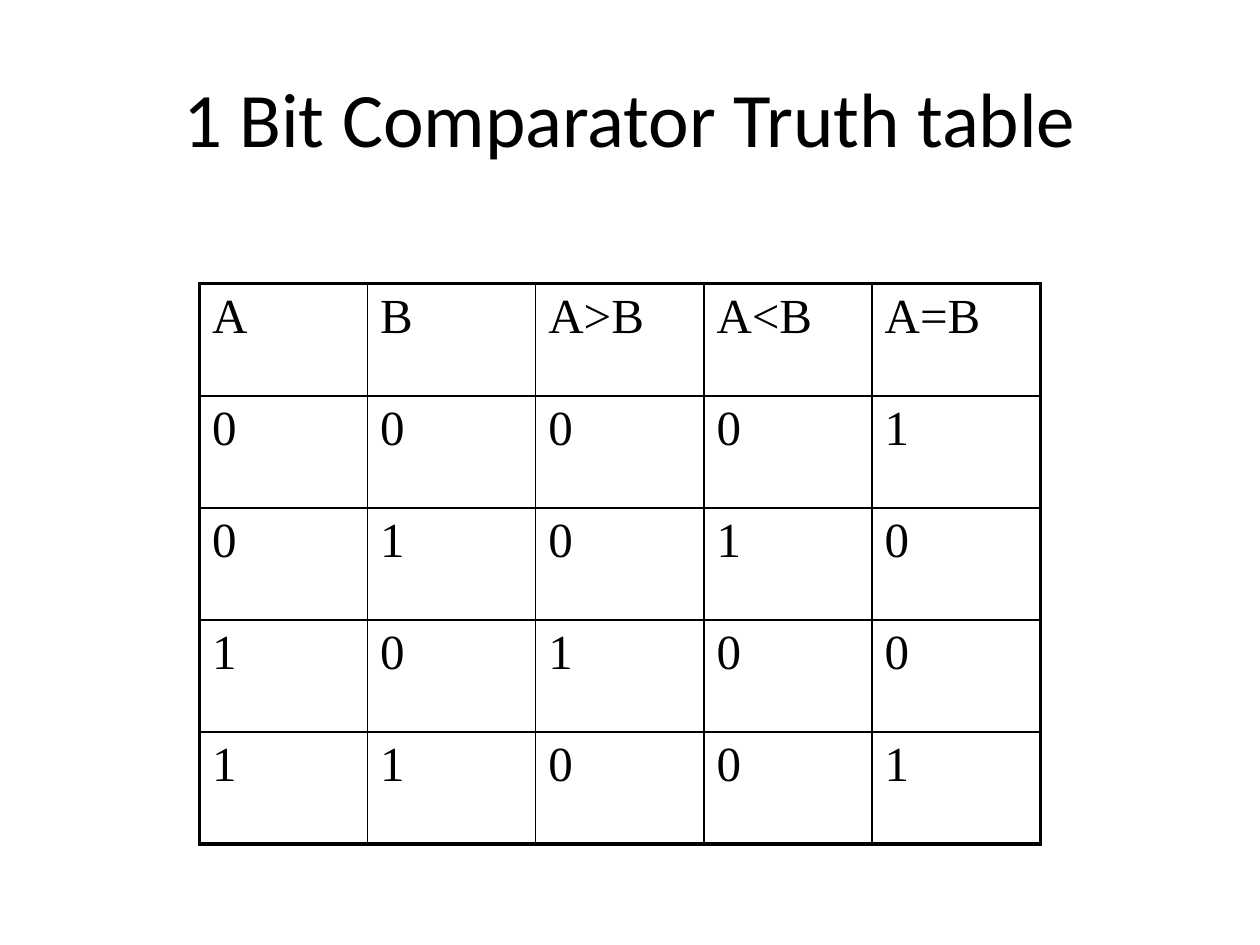
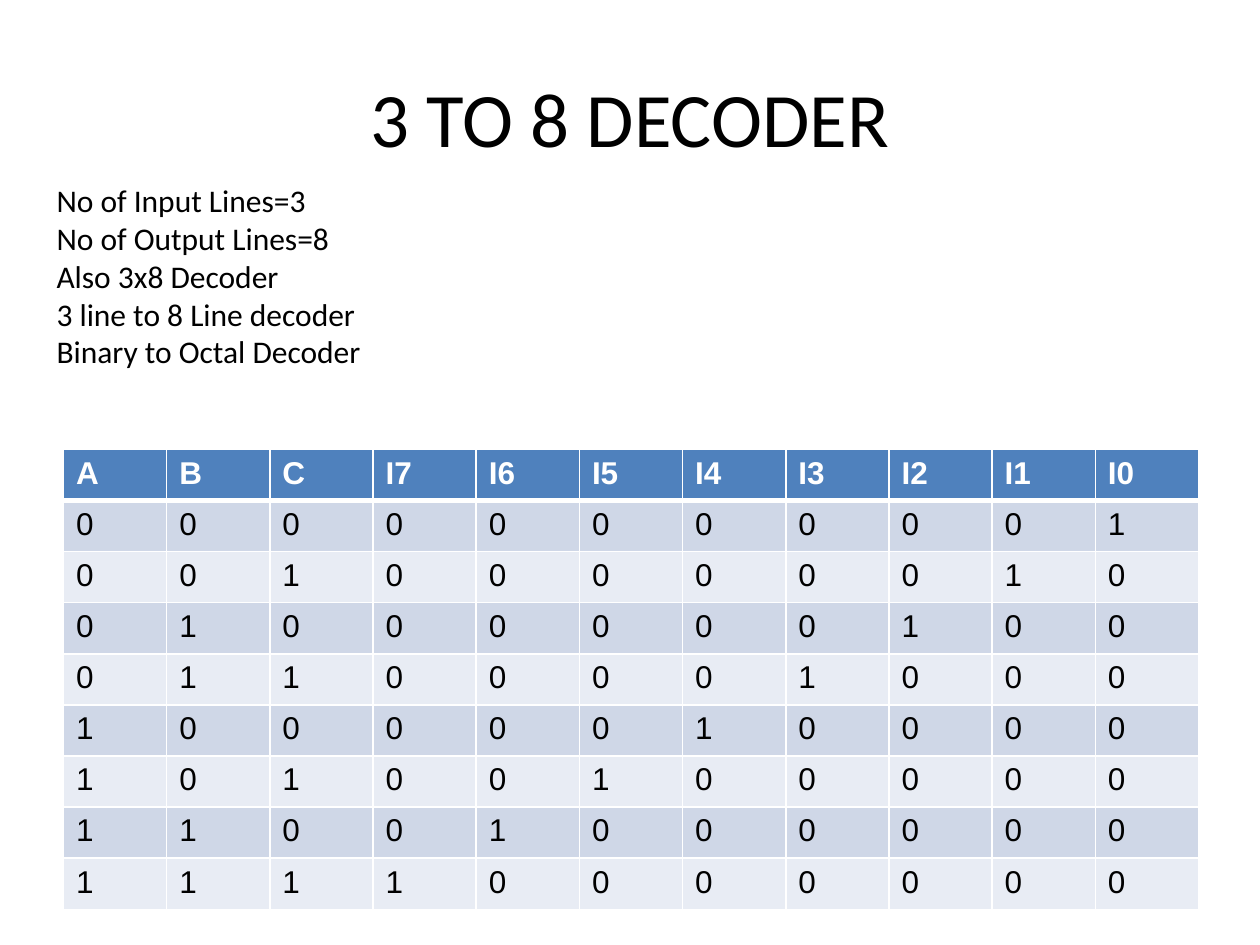
from dataclasses import dataclass
from itertools import product

from lxml.etree import SubElement
from pptx import Presentation
from pptx.dml.color import RGBColor
from pptx.enum.text import MSO_ANCHOR, PP_ALIGN
from pptx.oxml.ns import qn
from pptx.slide import Slide
from pptx.table import _Cell
from pptx.util import Cm, Pt

COLORS = {
    "ink": "000000",
    "white": "FFFFFF",
    "header": "4F81BD",
    "odd_row": "CFD7E7",
    "even_row": "E8ECF4",
}


@dataclass(frozen=True)
class TextStyle:
    font: str
    size: float
    color: str = "ink"
    bold: bool = False
    align: PP_ALIGN = PP_ALIGN.LEFT


@dataclass(frozen=True)
class Box:
    left: float
    top: float
    width: float
    height: float


@dataclass(frozen=True)
class GridStyle:
    """Look of a truth table; fills are colour names, line widths are points."""
    header_text: TextStyle
    body_text: TextStyle
    line_color: str
    inner_line: float
    outer_line: float
    header_line: float
    header_fill: str | None = None
    row_fills: tuple[str | None, ...] = (None,)


@dataclass(frozen=True)
class TruthTable:
    left: float
    top: float
    column_width: float
    row_height: float
    header: list[str]
    rows: list[list[int]]
    style: GridStyle


TITLE_BOX = Box(1.27, 0.76, 22.86, 3.18)
TITLE = TextStyle("Calibri", 44, align=PP_ALIGN.CENTER)
NOTES_BOX = Box(0.89, 3.53, 22.81, 4.11)
FACTS = TextStyle("Calibri", 18)
SERIF = TextStyle("Times New Roman", 28)
SANS = TextStyle("Arial", 18)
SANS_HEADER = TextStyle("Arial", 18, "white", bold=True)

RULED = GridStyle(SERIF, SERIF, "ink", inner_line=1, outer_line=2.25, header_line=1)
BANDED = GridStyle(SANS_HEADER, SANS, "white", inner_line=1, outer_line=1,
                   header_line=3, header_fill="header",
                   row_fills=("odd_row", "even_row"))

COMPARATOR = TruthTable(
    4.02, 5.72, 3.39, 2.26,
    ["A", "B", "A>B", "A<B", "A=B"],
    [[a, b, int(a > b), int(a < b), int(a == b)]
     for a, b in product((0, 1), repeat=2)],
    RULED,
)
LINES = range(7, -1, -1)
DECODER = TruthTable(
    1.28, 9.06, 2.08, 1.03,
    ["A", "B", "C", *(f"I{line}" for line in LINES)],
    [[*bits, *(int(line == number) for line in LINES)]
     for number, bits in enumerate(product((0, 1), repeat=3))],
    BANDED,
)
DECODER_FACTS = [
    "No of Input Lines=3",
    "No of Output Lines=8",
    "Also 3x8 Decoder",
    "3 line to 8 Line decoder",
    "Binary to Octal Decoder",
]


def write(frame, lines: list[str], style: TextStyle) -> None:
    frame.text = "\n".join(lines)
    for paragraph in frame.paragraphs:
        paragraph.alignment = style.align
        font = paragraph.font
        font.name, font.size, font.bold = style.font, Pt(style.size), style.bold
        font.color.rgb = RGBColor.from_string(COLORS[style.color])


def add_text(slide: Slide, box: Box, lines: list[str], style: TextStyle,
             anchor: MSO_ANCHOR = MSO_ANCHOR.TOP) -> None:
    frame = slide.shapes.add_textbox(
        Cm(box.left), Cm(box.top), Cm(box.width), Cm(box.height)).text_frame
    frame.word_wrap = True
    frame.vertical_anchor = anchor
    write(frame, lines, style)


def set_borders(cell: _Cell, color: str, widths: dict[str, float]) -> None:
    """Draw the cell's sides; widths must run in the order L, R, T, B."""
    properties = cell._tc.get_or_add_tcPr()
    for side, width in widths.items():
        line = SubElement(properties, qn(f"a:ln{side}"), w=str(Pt(width)))
        fill = SubElement(line, qn("a:solidFill"))
        SubElement(fill, qn("a:srgbClr"), val=COLORS[color])


def set_fill(cell: _Cell, color: str | None) -> None:
    if color is None:
        cell.fill.background()
    else:
        cell.fill.solid()
        cell.fill.fore_color.rgb = RGBColor.from_string(COLORS[color])


def add_truth_table(slide: Slide, truth: TruthTable) -> None:
    style = truth.style
    contents = [truth.header, *truth.rows]
    last_row, last_column = len(contents) - 1, len(truth.header) - 1
    table = slide.shapes.add_table(
        len(contents), len(truth.header), Cm(truth.left), Cm(truth.top),
        Cm(truth.column_width * len(truth.header)),
        Cm(truth.row_height * len(contents))).table
    table.first_row = table.horz_banding = False
    for column in table.columns:
        column.width = Cm(truth.column_width)

    def width_at(edge: bool, under_header: bool = False) -> float:
        if edge:
            return style.outer_line
        return style.header_line if under_header else style.inner_line

    for r, values in enumerate(contents):
        table.rows[r].height = Cm(truth.row_height)
        fill = style.row_fills[(r - 1) % len(style.row_fills)] if r else style.header_fill
        for c, value in enumerate(values):
            cell = table.cell(r, c)
            write(cell.text_frame, [str(value)],
                  style.body_text if r else style.header_text)
            set_borders(cell, style.line_color, {
                "L": width_at(c == 0),
                "R": width_at(c == last_column),
                "T": width_at(r == 0, r == 1),
                "B": width_at(r == last_row, r == 0),
            })
            set_fill(cell, fill)


def add_titled_slide(deck, title: str) -> Slide:
    slide = deck.slides.add_slide(deck.slide_layouts[6])
    add_text(slide, TITLE_BOX, [title], TITLE, MSO_ANCHOR.MIDDLE)
    return slide


def main() -> None:
    deck = Presentation()
    deck.slide_width, deck.slide_height = Cm(25.4), Cm(19.05)

    comparator = add_titled_slide(deck, "1 Bit Comparator Truth table")
    add_truth_table(comparator, COMPARATOR)

    decoder = add_titled_slide(deck, "3 TO 8 DECODER")
    add_truth_table(decoder, DECODER)
    add_text(decoder, NOTES_BOX, DECODER_FACTS, FACTS)

    deck.save("out.pptx")


if __name__ == "__main__":
    main()
